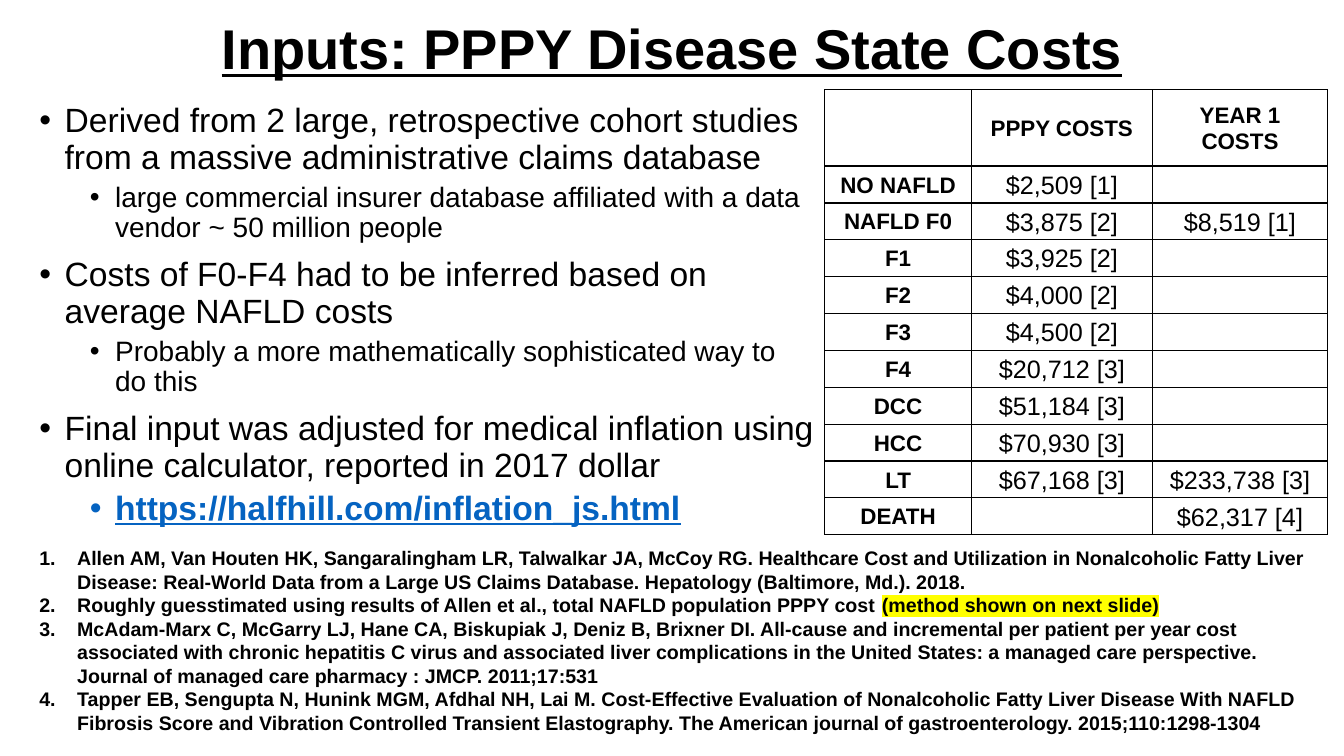
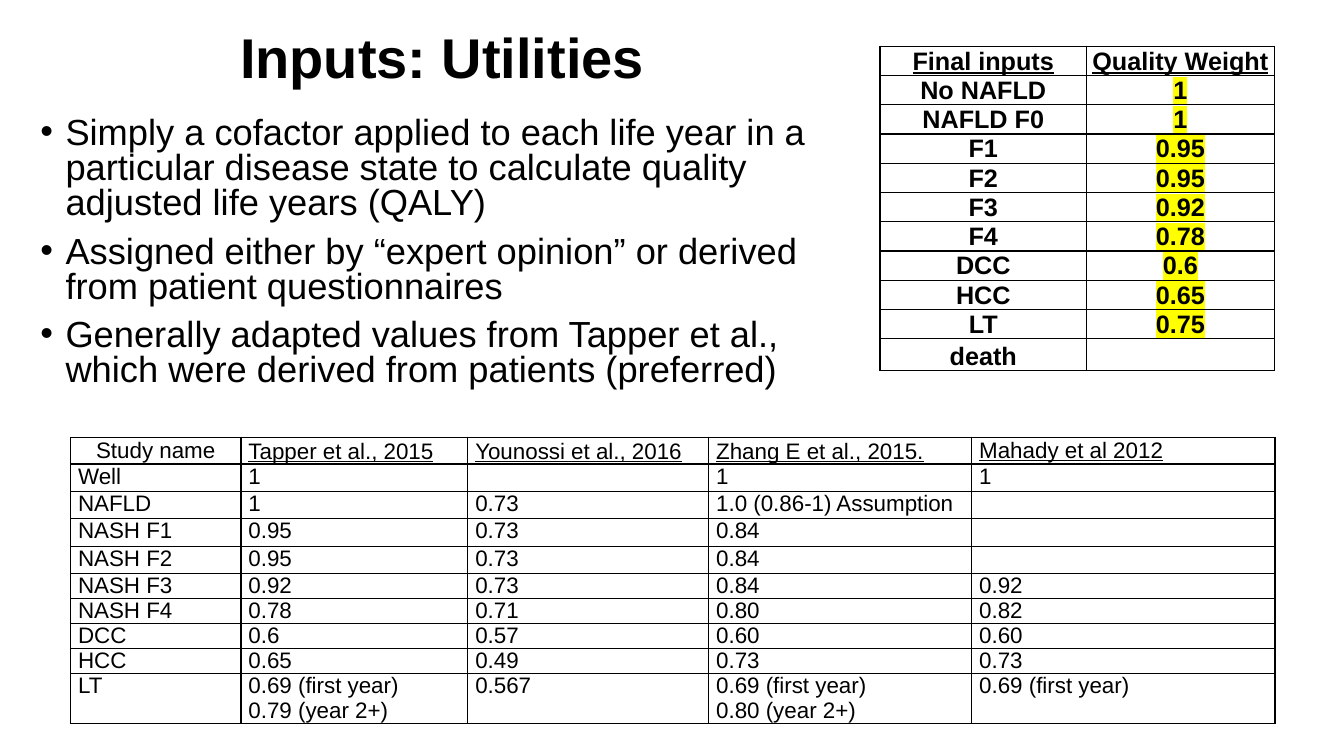
from dataclasses import dataclass, replace
from typing import Callable, Optional

from lxml import etree
from pptx import Presentation
from pptx.dml.color import RGBColor
from pptx.enum import text as t
from pptx.oxml import ns
from pptx.util import Pt


@dataclass(frozen=True)
class Theme:
    font: str = "Arial"
    ink: str = "000000"
    link: str = "0563C1"
    marker: str = "FFFF00"
    title: float = 40
    bullet: float = 24
    detail: float = 20
    scaled_bullet: float = 25.9
    table: float = 18
    table_small: float = 16
    reference: float = 14
    border: float = 1


THEME = Theme()


@dataclass(frozen=True)
class Box:
    left: float
    top: float
    width: float
    height: float

    def emu(self) -> tuple:
        return Pt(self.left), Pt(self.top), Pt(self.width), Pt(self.height)


@dataclass(frozen=True)
class Style:
    size: float
    bold: bool = False
    underline: bool = False
    color: str = THEME.ink
    highlight: Optional[str] = None


@dataclass(frozen=True)
class Bullet:
    text: str
    style: Style
    level: int = 0


@dataclass(frozen=True)
class Reference:
    text: str
    marked: str = ""


@dataclass(frozen=True)
class CellStyle:
    style: Style
    align: t.PP_ALIGN = t.PP_ALIGN.CENTER
    anchor: t.MSO_ANCHOR = t.MSO_ANCHOR.MIDDLE
    spacing: float = 1.0


@dataclass(frozen=True)
class Grid:
    left: float
    top: float
    columns: list
    row_heights: list
    rows: list
    side_margin: float
    top_margin: float
    cell_style: Callable[[int, int], CellStyle]


def add_element(parent, tag: str, **attributes: str):
    return etree.SubElement(parent, ns.qn(tag), attributes)


def format_run(run, style: Style) -> None:
    font = run.font
    font.size = Pt(style.size)
    font.bold = style.bold
    font.underline = style.underline
    font.color.rgb = RGBColor.from_string(style.color)
    font.name = THEME.font
    if style.highlight:
        highlight = etree.Element(ns.qn("a:highlight"))
        add_element(highlight, "a:srgbClr", val=style.highlight)
        run.font._element.find(ns.qn("a:solidFill")).addnext(highlight)


def format_paragraph(paragraph, style: Style) -> None:
    for run in paragraph.runs:
        format_run(run, style)


def set_list_mark(paragraph, margin: float, hanging: float, tag: str, **mark: str) -> None:
    properties = paragraph._p.get_or_add_pPr()
    properties.set("marL", str(Pt(margin)))
    properties.set("indent", str(-Pt(hanging)))
    add_element(properties, "a:buFont", typeface=THEME.font)
    add_element(properties, tag, **mark)


def place(shape, box: Box) -> None:
    shape.left, shape.top, shape.width, shape.height = box.emu()


def add_title(slide, words: str, box: Box, underline: bool = False) -> None:
    title = slide.shapes.title
    place(title, box)
    frame = title.text_frame
    frame.text = words
    frame.auto_size = t.MSO_AUTO_SIZE.NONE
    frame.vertical_anchor = t.MSO_ANCHOR.MIDDLE
    heading = frame.paragraphs[0]
    heading.alignment = t.PP_ALIGN.CENTER
    heading.line_spacing = 0.9
    format_paragraph(heading, Style(THEME.title, bold=True, underline=underline))


def add_bullets(slide, bullets: list, box: Box, spacing: float) -> None:
    body = slide.placeholders[1]
    place(body, box)
    frame = body.text_frame
    frame.text = "\n".join(bullet.text for bullet in bullets)
    frame.auto_size = t.MSO_AUTO_SIZE.NONE
    for index, (paragraph, bullet) in enumerate(zip(frame.paragraphs, bullets)):
        paragraph.level = bullet.level
        set_list_mark(paragraph, 18 + 36 * bullet.level, 18, "a:buChar", char="•")
        paragraph.line_spacing = spacing
        paragraph.space_before = Pt((5 if bullet.level else 10) if index else 0)
        format_paragraph(paragraph, bullet.style)


def add_references(slide, references: list, box: Box) -> None:
    frame = slide.shapes.add_textbox(*box.emu()).text_frame
    frame.word_wrap = True
    frame.text = "\n".join(reference.text for reference in references)
    style = Style(THEME.reference, bold=True)
    for paragraph, reference in zip(frame.paragraphs, references):
        set_list_mark(paragraph, 27, 27, "a:buAutoNum", type="arabicPeriod")
        format_paragraph(paragraph, style)
        if reference.marked:
            marked = paragraph.add_run()
            marked.text = reference.marked
            format_run(marked, replace(style, highlight=THEME.marker))


def add_borders(cell) -> None:
    properties = cell._tc.get_or_add_tcPr()
    for index, side in enumerate("LRTB"):
        line = etree.Element(ns.qn(f"a:ln{side}"), w=str(Pt(THEME.border)))
        add_element(add_element(line, "a:solidFill"), "a:srgbClr", val=THEME.ink)
        properties.insert(index, line)


def fill_cell(cell, words: str, look: CellStyle, grid: Grid) -> None:
    cell.fill.background()
    add_borders(cell)
    cell.margin_left = cell.margin_right = Pt(grid.side_margin)
    cell.margin_top, cell.margin_bottom = Pt(grid.top_margin), 0
    cell.vertical_anchor = look.anchor
    cell.text_frame.text = words
    for paragraph in cell.text_frame.paragraphs:
        paragraph.alignment = look.align
        paragraph.line_spacing = look.spacing
        format_paragraph(paragraph, look.style)
        if not words:
            add_element(paragraph._p, "a:endParaRPr", sz=str(int(look.style.size * 100)))


def add_grid(slide, grid: Grid) -> None:
    box = Box(grid.left, grid.top, sum(grid.columns), sum(grid.row_heights))
    table = slide.shapes.add_table(len(grid.rows), len(grid.columns), *box.emu()).table
    table.first_row = table.horz_banding = False
    for column, width in zip(table.columns, grid.columns):
        column.width = Pt(width)
    for row, height in zip(table.rows, grid.row_heights):
        row.height = Pt(height)
    for r, row in enumerate(grid.rows):
        for c, words in enumerate(row):
            fill_cell(table.cell(r, c), words, grid.cell_style(r, c), grid)


def cost_style(row: int, column: int) -> CellStyle:
    label = row == 0 or column == 0
    style = Style(THEME.table_small, bold=True) if label else Style(THEME.table)
    return CellStyle(style, spacing=1.07)


def study_style(row: int, column: int) -> CellStyle:
    style = Style(THEME.table_small, underline=row == 0 and column > 0)
    if row:
        return CellStyle(style, t.PP_ALIGN.LEFT, t.MSO_ANCHOR.TOP)
    align = t.PP_ALIGN.LEFT if column else t.PP_ALIGN.CENTER
    return CellStyle(style, align, spacing=1.07 if column in (1, 2, 3) else 1.0)


def weight_style(row: int, column: int) -> CellStyle:
    marker = THEME.marker if row and column else None
    style = Style(THEME.table, bold=True, underline=row == 0, highlight=marker)
    return CellStyle(style, anchor=t.MSO_ANCHOR.BOTTOM)


MAIN = Style(THEME.bullet)
DETAIL = Style(THEME.detail)
LINK = Style(THEME.bullet, bold=True, underline=True, color=THEME.link)
SCALED = Style(THEME.scaled_bullet)

COST_BULLETS = [
    Bullet("Derived from 2 large, retrospective cohort studies from a massive administrative claims database", MAIN),
    Bullet("large commercial insurer database affiliated with a data vendor ~ 50 million people", DETAIL, 1),
    Bullet("Costs of F0-F4 had to be inferred based on average NAFLD costs", MAIN),
    Bullet("Probably a more mathematically sophisticated way to do this", DETAIL, 1),
    Bullet("Final input was adjusted for medical inflation using online calculator, reported in 2017 dollar", MAIN),
    Bullet("https://halfhill.com/inflation_js.html", LINK, 1),
]

COSTS = Grid(589, 64.2, [105, 129, 125.5], [54.4] + [26.35] * 10, [
    ("", "PPPY COSTS", "YEAR 1 COSTS"),
    ("NO NAFLD", "$2,509 [1]", ""),
    ("NAFLD F0", "$3,875 [2]", "$8,519 [1]"),
    ("F1", "$3,925 [2]", ""),
    ("F2", "$4,000 [2]", ""),
    ("F3", "$4,500 [2]", ""),
    ("F4", "$20,712 [3]", ""),
    ("DCC", "$51,184 [3]", ""),
    ("HCC", "$70,930 [3]", ""),
    ("LT", "$67,168 [3]", "$233,738 [3]"),
    ("DEATH", "", "$62,317 [4]"),
], 5.4, 0, cost_style)

REFERENCES = [
    Reference("Allen AM, Van Houten HK, Sangaralingham LR, Talwalkar JA, McCoy RG. Healthcare Cost and Utilization in Nonalcoholic Fatty Liver Disease: Real-World Data from a Large US Claims Database. Hepatology (Baltimore, Md.). 2018."),
    Reference("Roughly guesstimated using results of Allen et al., total NAFLD population PPPY cost ", "(method shown on next slide)"),
    Reference("McAdam-Marx C, McGarry LJ, Hane CA, Biskupiak J, Deniz B, Brixner DI. All-cause and incremental per patient per year cost associated with chronic hepatitis C virus and associated liver complications in the United States: a managed care perspective. Journal of managed care pharmacy : JMCP. 2011;17:531"),
    Reference("Tapper EB, Sengupta N, Hunink MGM, Afdhal NH, Lai M. Cost-Effective Evaluation of Nonalcoholic Fatty Liver Disease With NAFLD Fibrosis Score and Vibration Controlled Transient Elastography. The American journal of gastroenterology. 2015;110:1298-1304"),
]

UTILITY_BULLETS = [
    Bullet("Simply a cofactor applied to each life year in a particular disease state to calculate quality adjusted life years (QALY)", SCALED),
    Bullet("Assigned either by “expert opinion” or derived from patient questionnaires", SCALED),
    Bullet("Generally adapted values from Tapper et al., which were derived from patients (preferred)", SCALED),
]

STUDIES = Grid(50.4, 312.3, [121.7, 162, 172.1, 187.9, 216.7], [19.1] + [17.7] * 8 + [35.5], [
    ("Study name", "Tapper et al., 2015", "Younossi et al., 2016", "Zhang E et al., 2015.", "Mahady et al 2012"),
    ("Well", "1", "", "1", "1"),
    ("NAFLD", "1", "0.73", "1.0 (0.86-1) Assumption", ""),
    ("NASH F1", "0.95", "0.73", "0.84", ""),
    ("NASH F2", "0.95", "0.73", "0.84", ""),
    ("NASH F3", "0.92", "0.73", "0.84", "0.92"),
    ("NASH F4", "0.78", "0.71", "0.80", "0.82"),
    ("DCC", "0.6", "0.57", "0.60", "0.60"),
    ("HCC", "0.65", "0.49", "0.73", "0.73"),
    ("LT", "0.69 (first year)\n0.79 (year 2+)", "0.567", "0.69 (first year)\n0.80 (year 2+)", "0.69 (first year)"),
], 5.4, 0, study_style)

WEIGHTS = Grid(628.6, 33, [147.5, 134], [20.9] * 11, [
    ("Final inputs", "Quality Weight"),
    ("No NAFLD", "1"),
    ("NAFLD F0", "1"),
    ("F1", "0.95"),
    ("F2", "0.95"),
    ("F3", "0.92"),
    ("F4", "0.78"),
    ("DCC", "0.6"),
    ("HCC", "0.65"),
    ("LT", "0.75"),
    ("death", ""),
], 0.7, 0.7, weight_style)


def main() -> None:
    deck = Presentation()
    deck.slide_width, deck.slide_height = Pt(960), Pt(540)
    layout = deck.slide_layouts[1]

    costs = deck.slides.add_slide(layout)
    add_title(costs, "Inputs: PPPY Disease State Costs", Box(66, 4, 828, 66), underline=True)
    add_bullets(costs, COST_BULLETS, Box(21, 70.6, 568.5, 317), 0.9)
    add_grid(costs, COSTS)
    add_references(costs, REFERENCES, Box(21, 386.6, 928, 143))

    utilities = deck.slides.add_slide(layout)
    add_title(utilities, "Inputs: Utilities", Box(83.5, 5, 464.5, 75.6))
    add_bullets(utilities, UTILITY_BULLETS, Box(21.6, 80.6, 588, 202), 0.8)
    add_grid(utilities, STUDIES)
    add_grid(utilities, WEIGHTS)

    deck.save("out.pptx")


if __name__ == "__main__":
    main()
